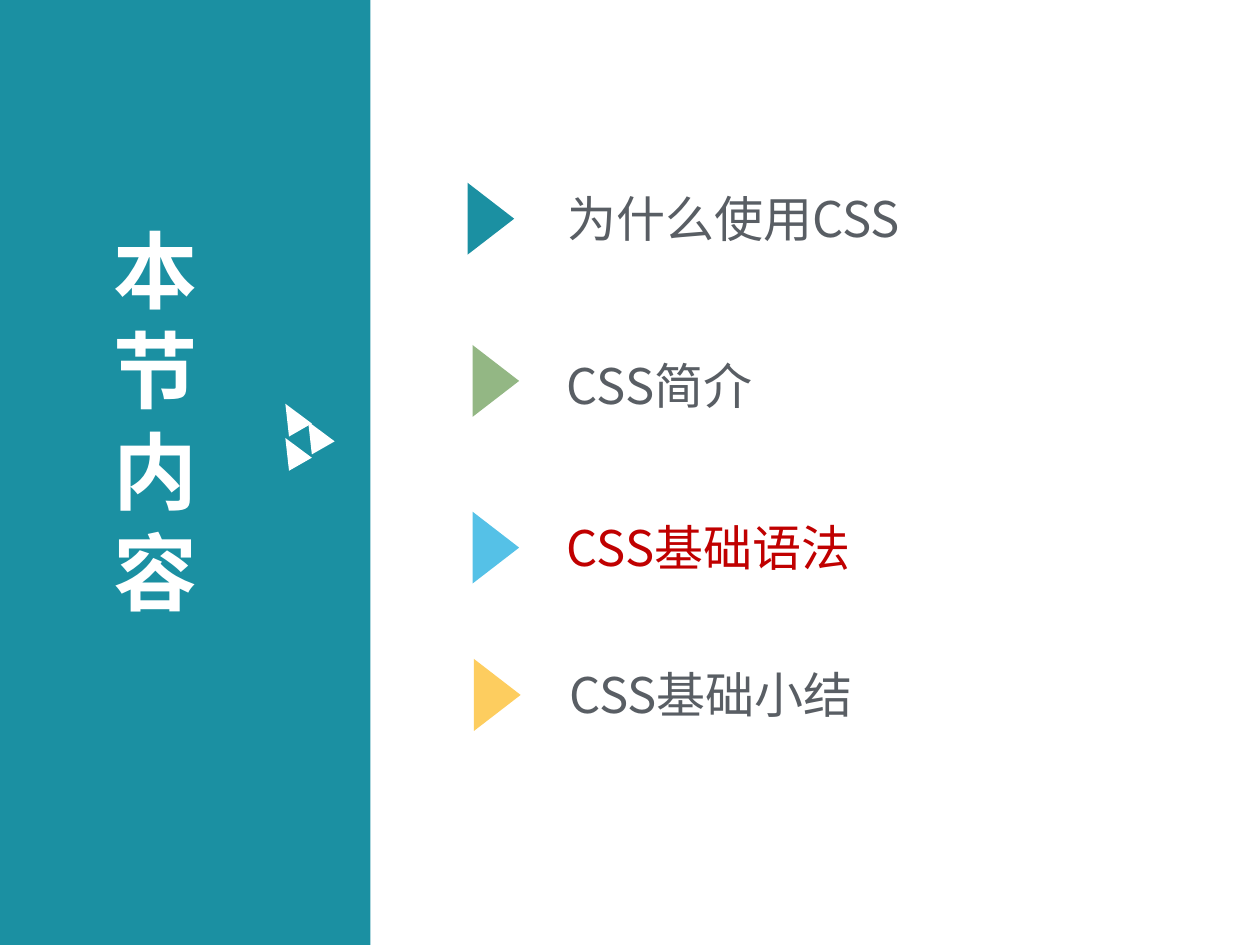
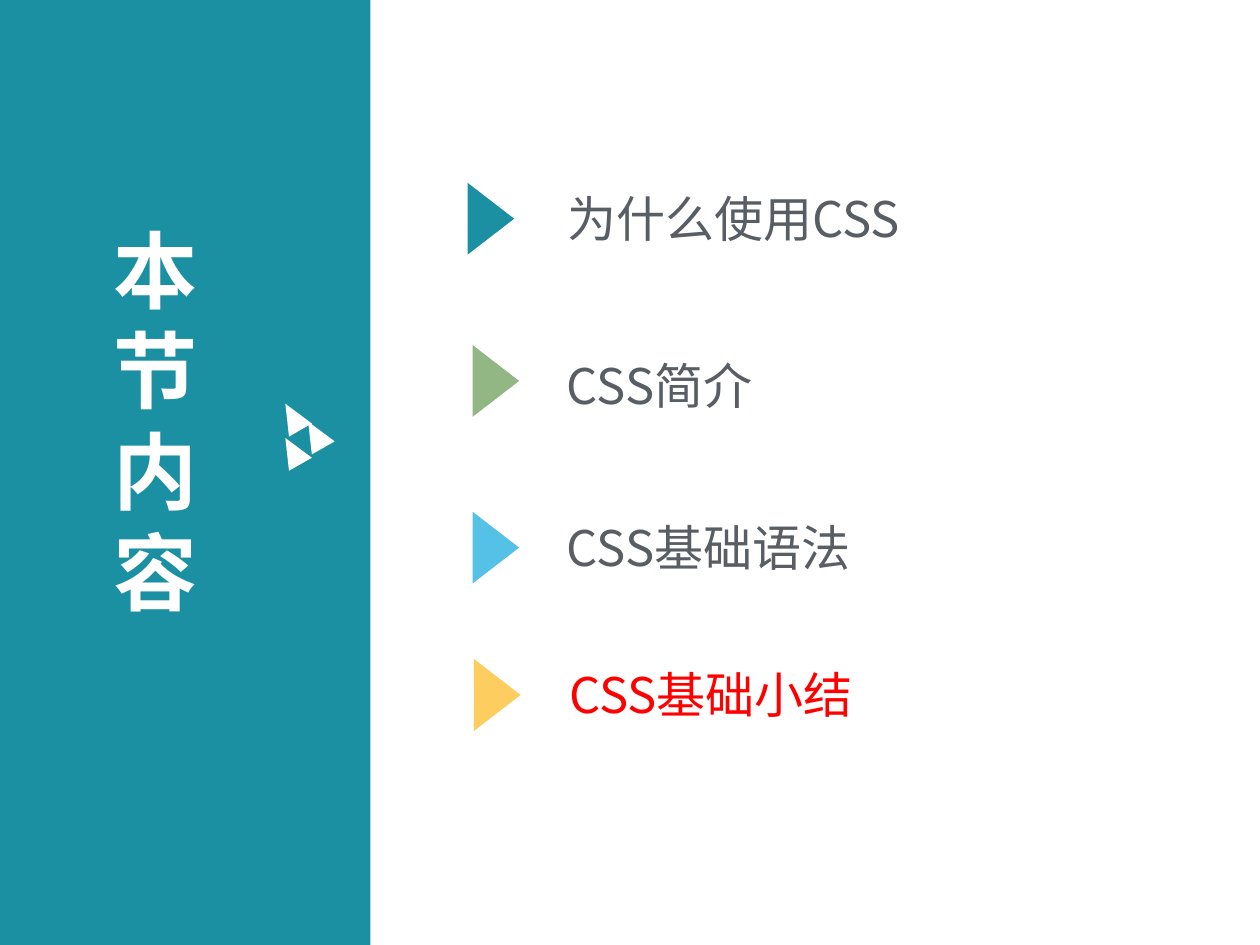
from lxml.etree import SubElement
from pptx import Presentation
from pptx.dml.color import RGBColor
from pptx.enum.shapes import MSO_SHAPE
from pptx.enum.text import MSO_ANCHOR, MSO_AUTO_SIZE, PP_ALIGN
from pptx.oxml.ns import qn
from pptx.util import Cm, Pt

FONT = "Noto Sans CJK SC"
TEAL, WHITE, GREY = "1B90A2", "FFFFFF", "595E64"
HEADING = "本节内容"
TOPICS = [
    {"text": "为什么使用CSS", "colour": TEAL, "arrow": (9.17, 3.94), "label": (11.2, 3.68, 7.62)},
    {"text": "CSS简介", "colour": "93B784", "arrow": (9.27, 7.21), "label": (11.18, 7.04, 8.38)},
    {"text": "CSS基础语法", "colour": "55C1E7", "arrow": (9.27, 10.57), "label": (11.18, 10.31, 11.99)},
    {"text": "CSS基础小结", "colour": "FDCD5F", "arrow": (9.3, 13.54), "label": (11.23, 13.28, 9.8)},
]
AGENDAS = [{"current": 2, "highlight": "C00000"}, {"current": 3, "highlight": "FF0000"}]
SLIDE_SIZE = (25.4, 19.05)
BAND = (-0.05, 0, 7.52, 19.05)
HEADING_PLACE = (2.03, 4.27, 3.33, 8.46)
ARROW_SIZE = (1.45, 0.94)
LABEL_HEIGHT = 1.45
EMBLEM_CORNERS = [(5.64, 8.1), (5.64, 8.79), (6.1, 8.46)]
EMBLEM_SIZE = (0.53, 0.61)
EMBLEM_TURN = 330.2


def colour_of(value):
    """Turn a hex string into a colour."""
    return RGBColor.from_string(value)


def apply(target, values):
    """Set attributes from a dict."""
    for name, value in values.items():
        setattr(target, name, value)


def add_solid(shapes, kind, place, colour, rotation=0):
    """Add a filled shape without outline or shadow."""
    shape = shapes.add_shape(kind, *map(Cm, place))
    shape.fill.solid()
    shape.fill.fore_color.rgb = colour_of(colour)
    shape.line.fill.background()
    shape.shadow.inherit = False
    shape.rotation = rotation
    return shape


def write(box, text, size, colour, bold=False):
    """Write one left-aligned paragraph into a wrapping box."""
    frame = box.text_frame
    apply(frame, {"word_wrap": True, "auto_size": MSO_AUTO_SIZE.SHAPE_TO_FIT_TEXT,
                  "vertical_anchor": MSO_ANCHOR.TOP})
    para = frame.paragraphs[0]
    para.alignment = PP_ALIGN.LEFT
    span = para.add_run()
    span.text = text
    apply(span.font, {"name": FONT, "size": Pt(size), "bold": bold})
    span.font.color.rgb = colour_of(colour)
    SubElement(span.font._element, qn("a:ea"), typeface=FONT)


def add_side_panel(page):
    """Add the teal band with its heading and emblem."""
    heading = page.shapes.title
    apply(heading, dict(zip(("left", "top", "width", "height"), map(Cm, HEADING_PLACE))))
    write(heading, HEADING, 48, WHITE, bold=True)
    band = add_solid(page.shapes, MSO_SHAPE.RECTANGLE, BAND, TEAL)
    heading.element.addprevious(band.element)
    emblem = page.shapes.add_group_shape()
    for corner in EMBLEM_CORNERS:
        add_solid(emblem.shapes, MSO_SHAPE.ISOSCELES_TRIANGLE, corner + EMBLEM_SIZE, WHITE, EMBLEM_TURN)


def add_topic(page, topic, text_colour):
    """Add one agenda line with its arrow."""
    add_solid(page.shapes, MSO_SHAPE.ISOSCELES_TRIANGLE, topic["arrow"] + ARROW_SIZE, topic["colour"], 90)
    label = page.shapes.add_textbox(*map(Cm, topic["label"] + (LABEL_HEIGHT,)))
    write(label, topic["text"], 28, text_colour)


def main():
    """Build the agenda slides."""
    deck = Presentation()
    deck.slide_width, deck.slide_height = map(Cm, SLIDE_SIZE)
    for agenda in AGENDAS:
        page = deck.slides.add_slide(deck.slide_layouts[5])
        add_side_panel(page)
        for index, topic in enumerate(TOPICS):
            add_topic(page, topic, agenda["highlight"] if index == agenda["current"] else GREY)
    deck.save("out.pptx")


if __name__ == "__main__":
    main()
